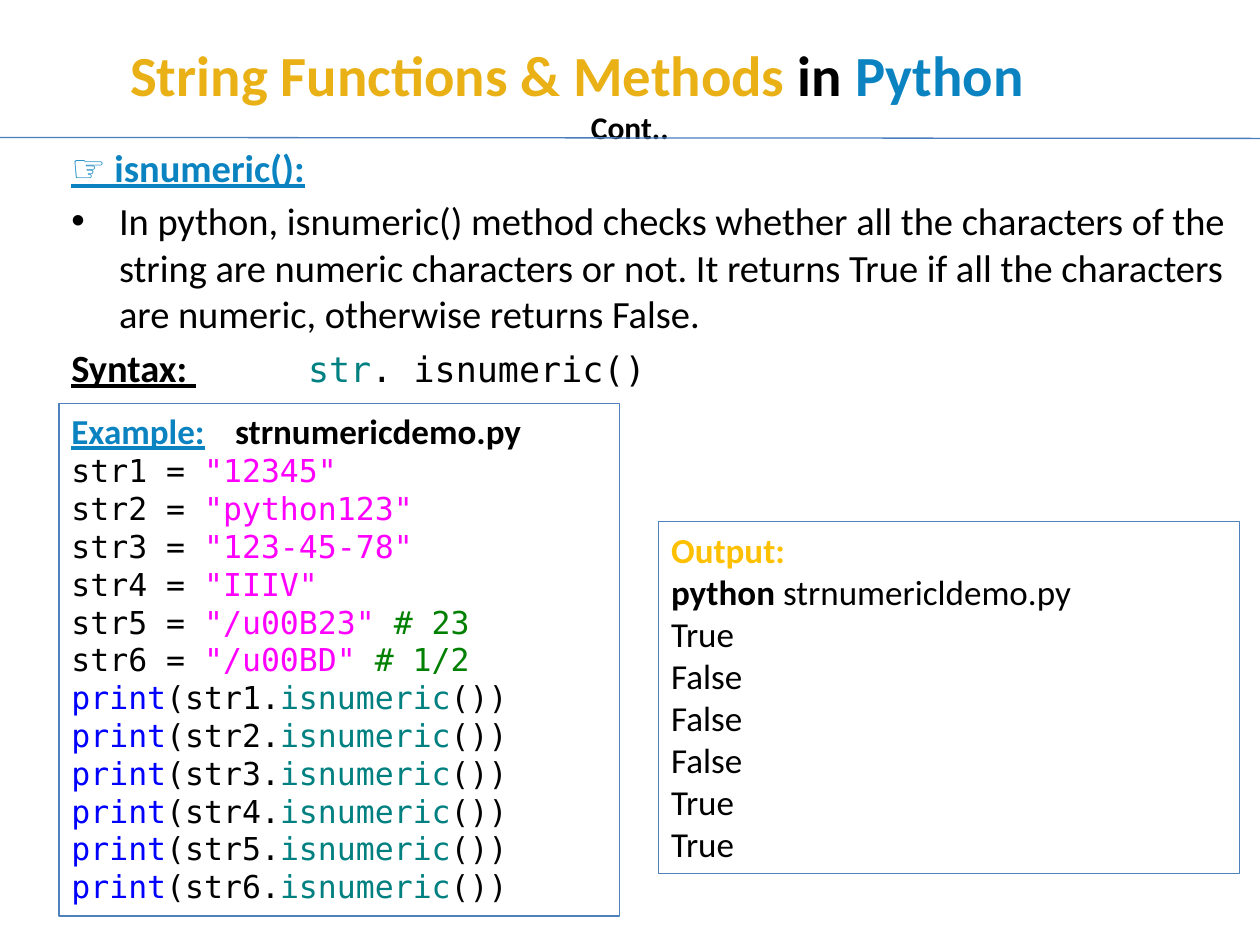
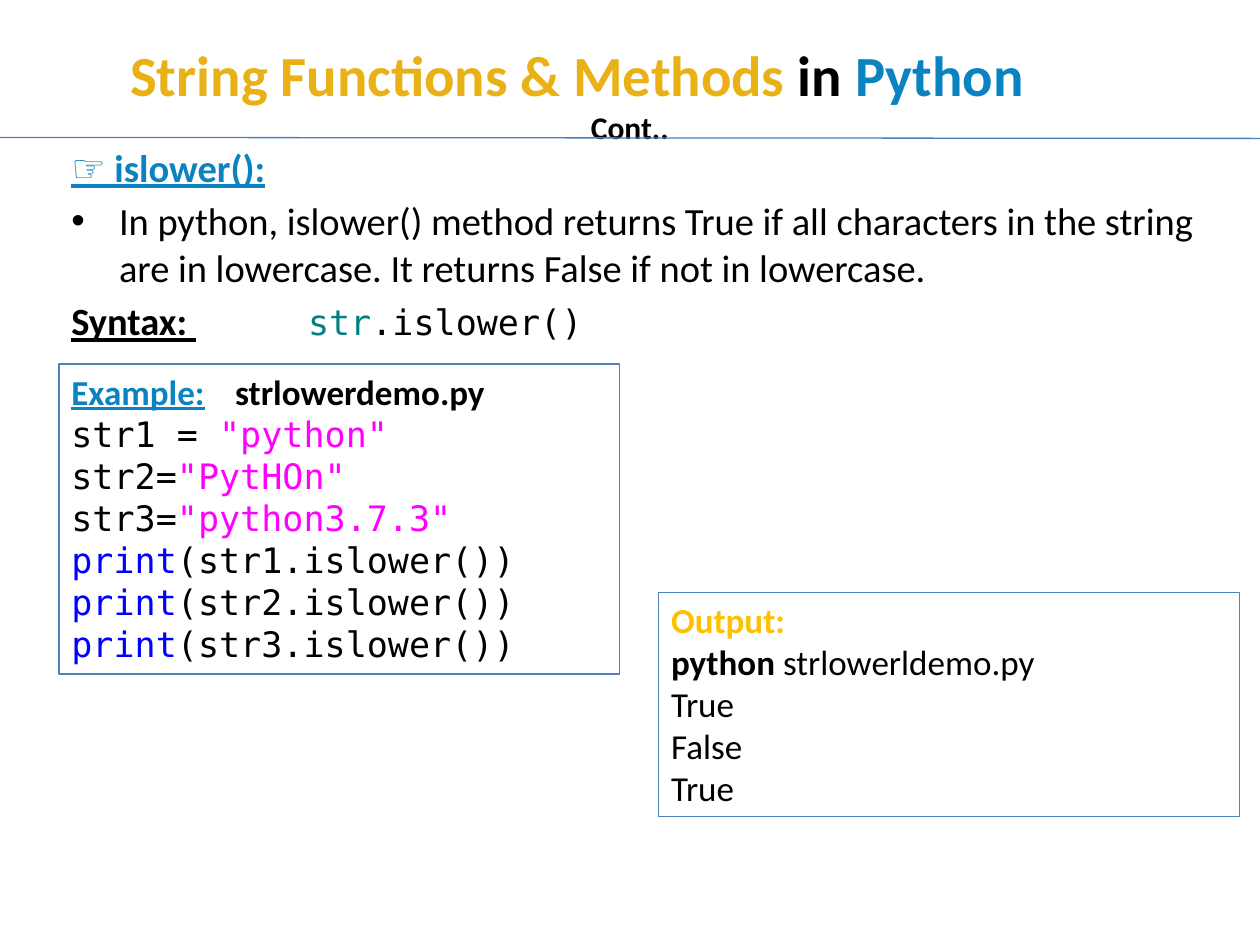
import pptx
import pptx.util
import pptx.dml.color
import pptx.enum.shapes
import pptx.enum.text
import pptx.oxml
import pptx.oxml.ns
import lxml.etree

Cm = pptx.util.Cm
Pt = pptx.util.Pt
RGBColor = pptx.dml.color.RGBColor
PP_ALIGN = pptx.enum.text.PP_ALIGN
MSO_ANCHOR = pptx.enum.text.MSO_ANCHOR
MSO_AUTO_SIZE = pptx.enum.text.MSO_AUTO_SIZE
qn = pptx.oxml.ns.qn

BLACK = RGBColor(0x00, 0x00, 0x00)
GOLD = RGBColor(0xE9, 0xB1, 0x15)
AMBER = RGBColor(0xFF, 0xC0, 0x00)
BLUE = RGBColor(0x0A, 0x83, 0xC0)
TEAL = RGBColor(0x00, 0x80, 0x80)
MAGENTA = RGBColor(0xFF, 0x00, 0xFF)
GREEN = RGBColor(0x00, 0x80, 0x00)
KEYWORD = RGBColor(0x00, 0x00, 0xFF)
RULE = RGBColor(0x4B, 0x7E, 0xBC)
BORDER = RGBColor(0x4F, 0x81, 0xBD)

SANS = {"name": "Calibri", "bold": False}
BOLD = {"name": "Calibri", "bold": True}
LINK = {"name": "Calibri", "bold": True, "underline": True}
MONO = {"name": "DejaVu Sans Mono", "bold": False}


def add_runs(p, size, runs):
    for text, fmt, color in runs:
        r = p.add_run()
        r.text = text
        r.font.size = Pt(size)
        for key, value in fmt.items():
            setattr(r.font, key, value)
        r.font.color.rgb = color


def add_panel(slide, box, paragraphs):
    sp = slide.shapes.add_shape(
        pptx.enum.shapes.MSO_SHAPE.RECTANGLE, *[Cm(v) for v in box])
    sp.shadow.inherit = False
    sp.fill.background()
    sp.line.color.rgb = BORDER
    sp.line.width = Pt(0.75)
    tf = sp.text_frame
    tf.word_wrap = True
    tf.auto_size = MSO_AUTO_SIZE.SHAPE_TO_FIT_TEXT
    tf.vertical_anchor = MSO_ANCHOR.TOP
    for i, (size, runs) in enumerate(paragraphs):
        p = tf.add_paragraph() if i else tf.paragraphs[0]
        p.alignment = PP_ALIGN.LEFT
        add_runs(p, size, runs)
    return tf


numeric_values = [
    ('"12345"', ""), ('"python123"', ""), ('"123-45-78"', ""),
    ('"IIIV"', ""), ('"/u00B23"', " # 23"), ('"/u00BD"', " # 1/2")]
lower_values = [(" = ", '"python"'), ("=", '"PytHOn"'), ("=", '"python3.7.3"')]

numeric_code = [
    [(f"str{n} = ", MONO, BLACK), (value, MONO, MAGENTA), (note, MONO, GREEN)]
    for n, (value, note) in enumerate(numeric_values, 1)]
numeric_code += [
    [("print", MONO, KEYWORD), (f"(str{n}.", MONO, BLACK),
     ("isnumeric", MONO, TEAL), ("())", MONO, BLACK)]
    for n in range(1, 7)]
lower_code = [
    [(f"str{n}{equals}", MONO, BLACK), (value, MONO, MAGENTA)]
    for n, (equals, value) in enumerate(lower_values, 1)]
lower_code += [
    [("print", MONO, KEYWORD), (f"(str{n}.islower())", MONO, BLACK)]
    for n in range(1, 4)]

topics = [
    {"method": "isnumeric",
     "about": "In python, isnumeric() method checks whether all the characters "
              "of the string are numeric characters or not. It returns True if "
              "all the characters are numeric, otherwise returns False.",
     "call": ". isnumeric()",
     "file": "strnumericdemo.py", "code": numeric_code, "code_size": 18,
     "example_box": (1.19, 8.13, 11.3, 10.34),
     "run_file": "strnumericldemo.py",
     "results": ["True", "False", "False", "False", "True", "True"],
     "output_box": (13.28, 10.52, 11.71, 7.09)},
    {"method": "islower",
     "about": "In python, islower() method returns True if all characters in "
              "the string are in lowercase. It returns False if not in "
              "lowercase.",
     "call": ".islower()",
     "file": "strlowerdemo.py", "code": lower_code, "code_size": 20,
     "example_box": (1.19, 7.34, 11.3, 6.25),
     "run_file": "strlowerldemo.py",
     "results": ["True", "False", "True"],
     "output_box": (13.28, 11.94, 11.71, 4.52)},
]

prs = pptx.Presentation()
prs.slide_width = Cm(25.4)
prs.slide_height = Cm(19.05)

for topic in topics:
    slide = prs.slides.add_slide(prs.slide_layouts[5])

    sp = slide.shapes.title
    sp.left, sp.top, sp.width, sp.height = Cm(1.27), Cm(0.76), Cm(22.86), Cm(2.21)
    tf = sp.text_frame
    tf.word_wrap = True
    tf.auto_size = MSO_AUTO_SIZE.NONE
    tf.vertical_anchor = MSO_ANCHOR.MIDDLE
    tf.margin_right = Cm(2.39)
    p = tf.paragraphs[0]
    p.alignment = PP_ALIGN.CENTER
    add_runs(p, 32.4, [("String Functions & Methods ", BOLD, GOLD),
                       ("in ", BOLD, BLACK), ("Python", BOLD, BLUE)])
    p = tf.add_paragraph()
    p.alignment = PP_ALIGN.CENTER
    p.space_before = Pt(0)
    p._p.get_or_add_pPr().set("marL", str(Cm(2.13)))
    add_runs(p, 18, [("Cont..", BOLD, BLACK)])

    sp = slide.shapes.add_textbox(Cm(1.19), Cm(2.77), Cm(24.21), Cm(15.29))
    tf = sp.text_frame
    tf.word_wrap = True
    body = [
        [(f"\u261e {topic['method']}():", LINK, BLUE)],
        [(topic["about"], SANS, BLACK)],
        [("Syntax: ", LINK, BLACK)],
    ]
    for i, runs in enumerate(body):
        p = tf.add_paragraph() if i else tf.paragraphs[0]
        p.space_before = Pt(4.4)
        pPr = p._p.get_or_add_pPr()
        pPr.set("marL", str(Cm(0.96)))
        pPr.set("indent", str(Cm(-0.96)))
        if i == 1:
            lxml.etree.SubElement(pPr, qn("a:buFont")).set("typeface", "Arial")
            lxml.etree.SubElement(pPr, qn("a:buChar")).set("char", "\u2022")
        add_runs(p, 22, runs)
    add_runs(p, 20, [("\t\t", MONO, TEAL), ("str", MONO, TEAL),
                     (topic["call"], MONO, BLACK)])

    ln = slide.shapes.add_connector(
        pptx.enum.shapes.MSO_CONNECTOR.STRAIGHT, 0, Cm(2.77), Cm(25.4), Cm(2.79))
    ln.line.color.rgb = RULE
    ln.line.width = Pt(0.75)
    lxml.etree.SubElement(ln._element.spPr, qn("a:effectLst"))

    heading = [("Example:", LINK, BLUE), ("\t", BOLD, BLACK),
               (topic["file"], BOLD, BLACK)]
    tf = add_panel(slide, topic["example_box"],
                   [(20, heading)]
                   + [(topic["code_size"], runs) for runs in topic["code"]])
    tabs = lxml.etree.SubElement(
        tf.paragraphs[0]._p.get_or_add_pPr(), qn("a:tabLst"))
    tab = lxml.etree.SubElement(tabs, qn("a:tab"))
    tab.set("pos", str(Cm(3.3)))
    tab.set("algn", "l")

    output = [[("Output:", BOLD, AMBER)],
              [("python", BOLD, BLACK), (f" {topic['run_file']}", SANS, BLACK)]]
    output += [[(result, SANS, BLACK)] for result in topic["results"]]
    add_panel(slide, topic["output_box"], [(20, runs) for runs in output])

prs.save("out.pptx")
